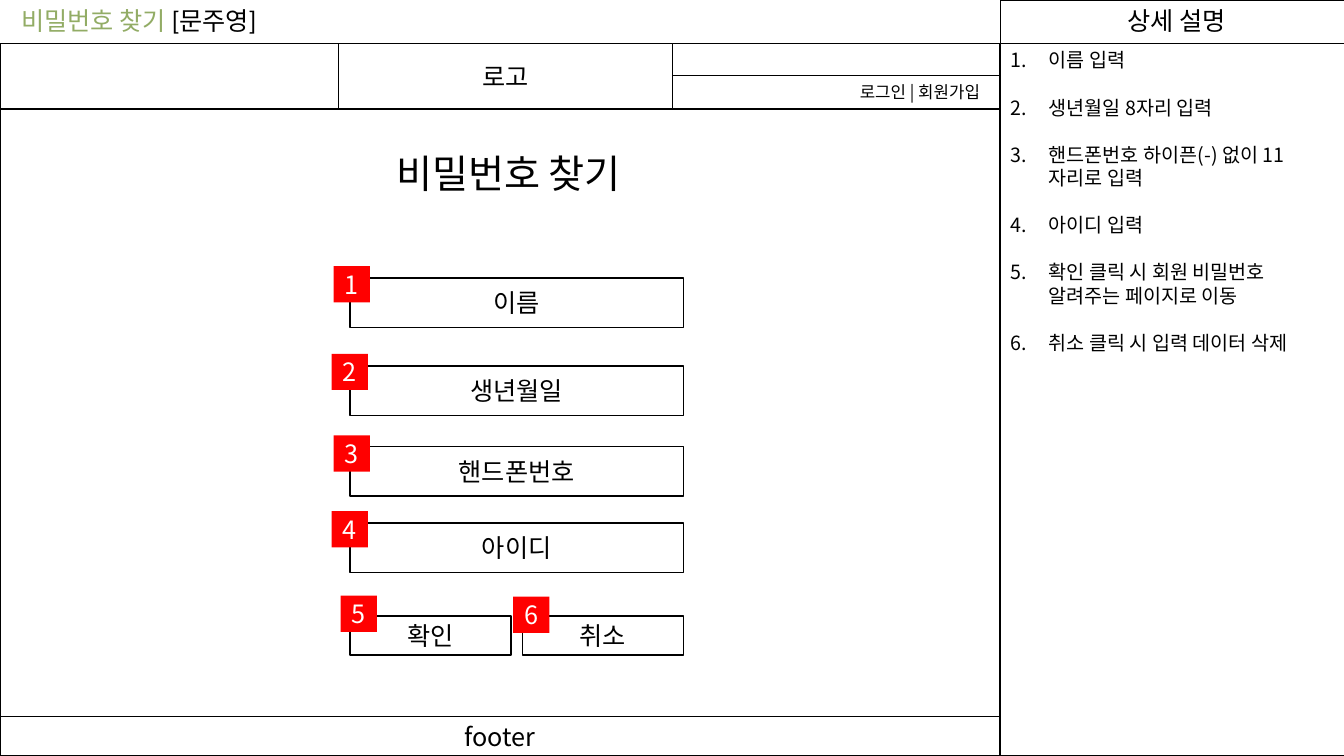
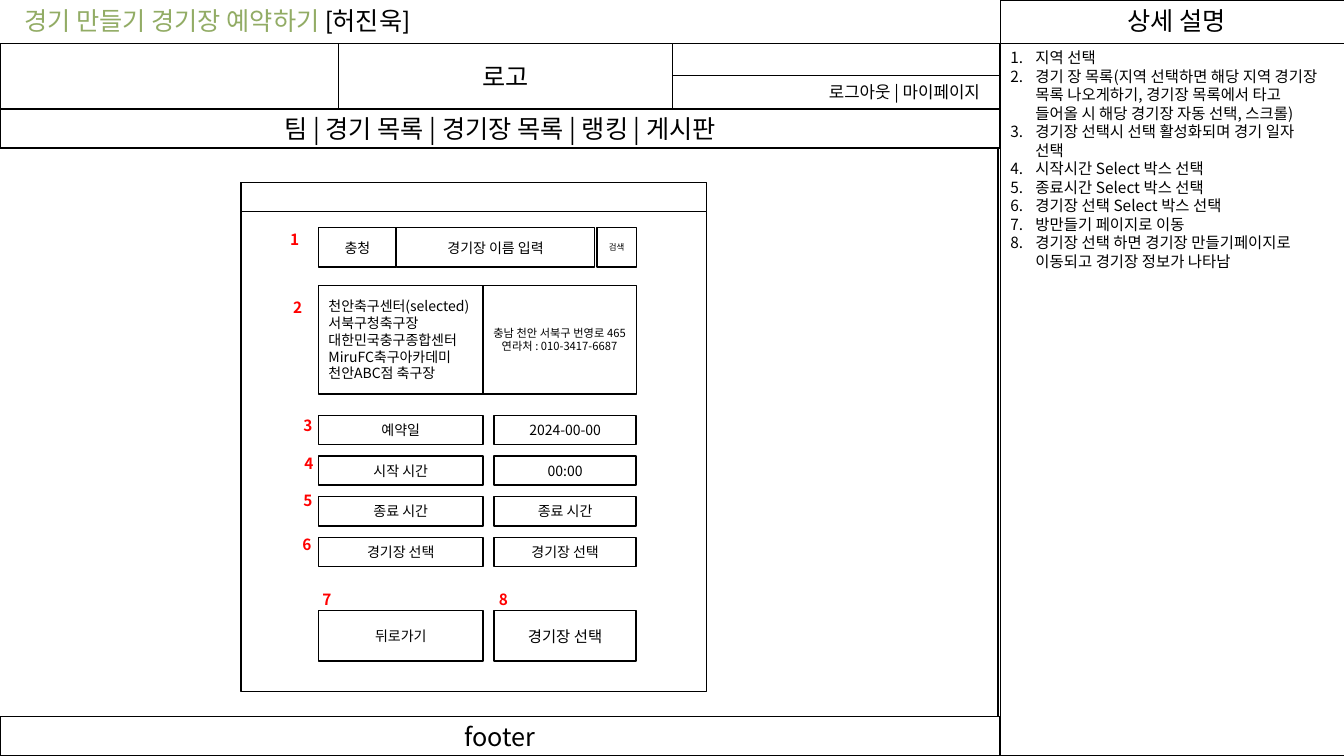
from dataclasses import dataclass

import pptx
import pptx.dml.color
import pptx.enum.shapes
import pptx.enum.text
import pptx.oxml.ns
import pptx.util
from lxml import etree

Inches = pptx.util.Inches
Pt = pptx.util.Pt
ALIGN = pptx.enum.text.PP_ALIGN
ANCHOR = pptx.enum.text.MSO_ANCHOR

COLORS = {"ink": "000000", "paper": "FFFFFF", "title": "92AC65", "mark": "FF0000"}
FONT = "Noto Sans CJK KR"
AUTHOR_FONT = "Lato"


@dataclass
class Box:
    """A rectangle in inches."""
    left: float
    top: float
    width: float
    height: float

    def inside(self, left, top, width, height):
        return Box(self.left + left, self.top + top, width, height)

    def lengths(self):
        return [Inches(n) for n in (self.left, self.top, self.width, self.height)]


PAGE = Box(0, 0, 13.33, 7.5)
HEADER = Box(0, 0.43, 9.92, 0.65)
MENU = Box(0, 1.08, 9.92, 0.39)
FOOTER = Box(0, 7.11, 9.92, 0.39)
PANEL = Box(9.92, 0, 3.42, 7.5)


def rgb(name):
    return pptx.dml.color.RGBColor.from_string(COLORS[name])


def add_run(paragraph, text, size=18, color="ink", bold=False, font=FONT):
    run = paragraph.add_run()
    run.text = text
    run.font.size = Pt(size)
    run.font.bold = bold
    run.font.name = font
    run.font.color.rgb = rgb(color)
    east_asian = etree.SubElement(run.font._element, pptx.oxml.ns.qn("a:ea"))
    east_asian.set("typeface", FONT)


def write_text(shape, text, align=ALIGN.LEFT, anchor=ANCHOR.TOP, **run_format):
    """Write one paragraph for each line of text; return the paragraphs."""
    frame = shape.text_frame
    frame.word_wrap = True
    frame.auto_size = pptx.enum.text.MSO_AUTO_SIZE.NONE
    frame.vertical_anchor = anchor
    for index, line in enumerate(text.split("\n")):
        paragraph = frame.add_paragraph() if index else frame.paragraphs[0]
        paragraph.alignment = align
        paragraph.space_before = Pt(0)
        add_run(paragraph, line, **run_format)
    return frame.paragraphs


def add_rectangle(slide, box, text="", fill="paper", line="ink",
                  align=ALIGN.CENTER, **run_format):
    shape = slide.shapes.add_shape(
        pptx.enum.shapes.MSO_SHAPE.RECTANGLE, *box.lengths())
    shape.shadow.inherit = False
    shape.fill.solid()
    shape.fill.fore_color.rgb = rgb(fill)
    if line:
        shape.line.color.rgb = rgb(line)
        shape.line.width = Pt(1)
    else:
        shape.line.fill.background()
    if text:
        write_text(shape, text, align, ANCHOR.MIDDLE, **run_format)
    return shape


def add_label(slide, box, text, **run_format):
    write_text(slide.shapes.add_textbox(*box.lengths()), text, **run_format)


def place(placeholder, box):
    """Move a placeholder to a box and bring it to the front."""
    placeholder.left, placeholder.top, placeholder.width, placeholder.height = box.lengths()
    placeholder._element.getparent().append(placeholder._element)


def add_title(slide, box, name, author):
    title = slide.shapes.title
    place(title, box)
    paragraph = write_text(title, name + " ", color="title")[0]
    add_run(paragraph, f"[{author}]", font=AUTHOR_FONT)


def add_header(slide, box, account_links):
    add_rectangle(slide, box)
    add_rectangle(slide, box.inside(3.36, 0, 3.31, box.height), "로고")
    account = add_rectangle(slide, box.inside(6.67, 0.32, 3.25, 0.33),
                            account_links, align=ALIGN.RIGHT, size=12)
    account.text_frame.margin_right = Inches(0.2)


def add_description(slide, box, steps, size, indent, gap=0):
    """Draw the side panel with its numbered steps."""
    heading_height = 0.43
    add_rectangle(slide, box.inside(0, heading_height, box.width, box.height - heading_height))
    add_rectangle(slide, box.inside(0, 0, box.width, heading_height))
    add_label(slide, box.inside(1.16, 0, 1.3, 0.4), "상세 설명")
    body = slide.placeholders[1]
    place(body, box.inside(0, heading_height, 3.3, 3.64))
    for paragraph in write_text(body, "\n".join(steps), size=size):
        paragraph.space_after = Pt(gap)
        properties = paragraph._element.get_or_add_pPr()
        properties.set("marL", str(Inches(indent)))
        properties.set("indent", str(-Inches(indent)))
        number = etree.SubElement(properties, pptx.oxml.ns.qn("a:buFont"))
        number.set("typeface", "+mj-lt")
        number = etree.SubElement(properties, pptx.oxml.ns.qn("a:buAutoNum"))
        number.set("type", "arabicPeriod")


def add_screen(presentation, content, account_links):
    """Add a slide with the page frame that every screen shares."""
    slide = presentation.slides.add_slide(presentation.slide_layouts[1])
    add_rectangle(slide, content)
    add_header(slide, HEADER, account_links)
    add_rectangle(slide, FOOTER, "footer")
    return slide


def add_password_form(slide, box):
    add_label(slide, box.inside(0.36, 0, 2.7, 0.57), "비밀번호 찾기", size=28)
    fields = [("이름", 1.33), ("생년월일", 2.2), ("핸드폰번호", 3), ("아이디", 3.76)]
    for text, top in fields:
        add_rectangle(slide, box.inside(0, top, box.width, 0.49), text)
    for text, left in (("확인", 0), ("취소", 1.71)):
        add_rectangle(slide, box.inside(left, 4.68, 1.6, 0.39), text)
    badges = [(-0.16, 1.21), (-0.18, 2.08), (-0.16, 2.89),
              (-0.18, 3.64), (-0.09, 4.48), (1.62, 4.49)]
    for number, (left, top) in enumerate(badges, 1):
        add_rectangle(slide, box.inside(left, top, 0.36, 0.36), str(number),
                      fill="mark", line=None, color="paper")


def add_booking_form(slide, box):
    add_rectangle(slide, box)
    add_rectangle(slide, box.inside(0, 0, box.width, 0.29))
    left, label_width = 0.77, 1.63
    value_left, value_width = 2.51, 1.41

    search_parts = [("충청", left, 0.77, 10), ("경기장 이름 입력", 1.54, 1.97, 10),
                    ("검색", 3.53, 0.39, 6)]
    for text, part_left, width, size in search_parts:
        add_rectangle(slide, box.inside(part_left, 0.45, width, 0.39), text, size=size)

    stadiums = ["천안축구센터(selected)", "서북구청축구장", "대한민국충구종합센터",
                "MiruFC축구아카데미", "천안ABC점 축구장"]
    add_rectangle(slide, box.inside(left, 1.02, label_width, 1.08),
                  "\n".join(stadiums), align=ALIGN.LEFT, size=10)
    add_rectangle(slide, box.inside(left + label_width, 1.02, 1.52, 1.08),
                  "충남 천안 서북구 번영로 465\n연라처 : 010-3417-6687", size=8)

    rows = [("예약일", "2024-00-00"), ("시작 시간", "00:00"),
            ("종료 시간", "종료 시간"), ("경기장 선택", "경기장 선택")]
    for index, (label, value) in enumerate(rows):
        top = 2.31 + index * 1.21 / 3
        add_rectangle(slide, box.inside(left, top, label_width, 0.29), label, size=10)
        add_rectangle(slide, box.inside(value_left, top, value_width, 0.29), value, size=10)

    add_rectangle(slide, box.inside(left, 4.25, label_width, 0.5), "뒤로가기", size=10)
    add_rectangle(slide, box.inside(value_left, 4.25, value_width, 0.5),
                  "경기장 선택", size=11)

    marks = [(0.39, 0.42), (0.42, 1.1), (0.52, 2.27), (0.53, 2.65),
             (0.52, 3.01), (0.51, 3.45), (0.71, 4), (2.46, 4)]
    for number, (mark_left, top) in enumerate(marks, 1):
        add_label(slide, box.inside(mark_left, top, 0.38, 0.29), str(number),
                  size=11, color="mark", bold=True)


def build_password_slide(presentation):
    slide = add_screen(presentation, Box(0, 1.08, 9.92, 6.03), "로그인 | 회원가입")
    add_password_form(slide, Box(3.47, 1.43, 3.31, 5.07))
    steps = ["이름 입력", "생년월일 8자리 입력", "핸드폰번호 하이픈(-) 없이 11자리로 입력",
             "아이디 입력", "확인 클릭 시 회원 비밀번호 알려주는 페이지로 이동",
             "취소 클릭 시 입력 데이터 삭제"]
    add_description(slide, PANEL, steps, size=14, indent=0.38, gap=16.8)
    add_title(slide, Box(0.11, 0, 2.55, 0.4), "비밀번호 찾기", "문주영")


def build_booking_slide(presentation):
    slide = add_screen(presentation, Box(-0.02, 1.47, 9.92, 5.64), "로그아웃 | 마이페이지")
    add_rectangle(slide, MENU, "팀 | 경기 목록 | 경기장 목록 | 랭킹 | 게시판")
    add_booking_form(slide, Box(2.39, 1.81, 4.62, 5.05))
    steps = ["지역 선택",
             "경기 장 목록(지역 선택하면 해당 지역 경기장 목록 나오게하기, "
             "경기장 목록에서 타고 들어올 시 해당 경기장 자동 선택, 스크롤)",
             "경기장 선택시 선택 활성화되며 경기 일자 선택",
             "시작시간 Select 박스 선택", "종료시간 Select 박스 선택",
             "경기장 선택 Select 박스 선택", "방만들기 페이지로 이동",
             "경기장 선택 하면 경기장 만들기페이지로 이동되고 경기장 정보가 나타남"]
    add_description(slide, PANEL, steps, size=11, indent=0.25)
    add_title(slide, Box(0.14, 0, 4.93, 0.4), "경기 만들기 경기장 예약하기", "허진욱")


def main():
    presentation = pptx.Presentation()
    presentation.slide_width = Inches(PAGE.width)
    presentation.slide_height = Inches(PAGE.height)
    build_password_slide(presentation)
    build_booking_slide(presentation)
    presentation.save("out.pptx")


if __name__ == "__main__":
    main()
